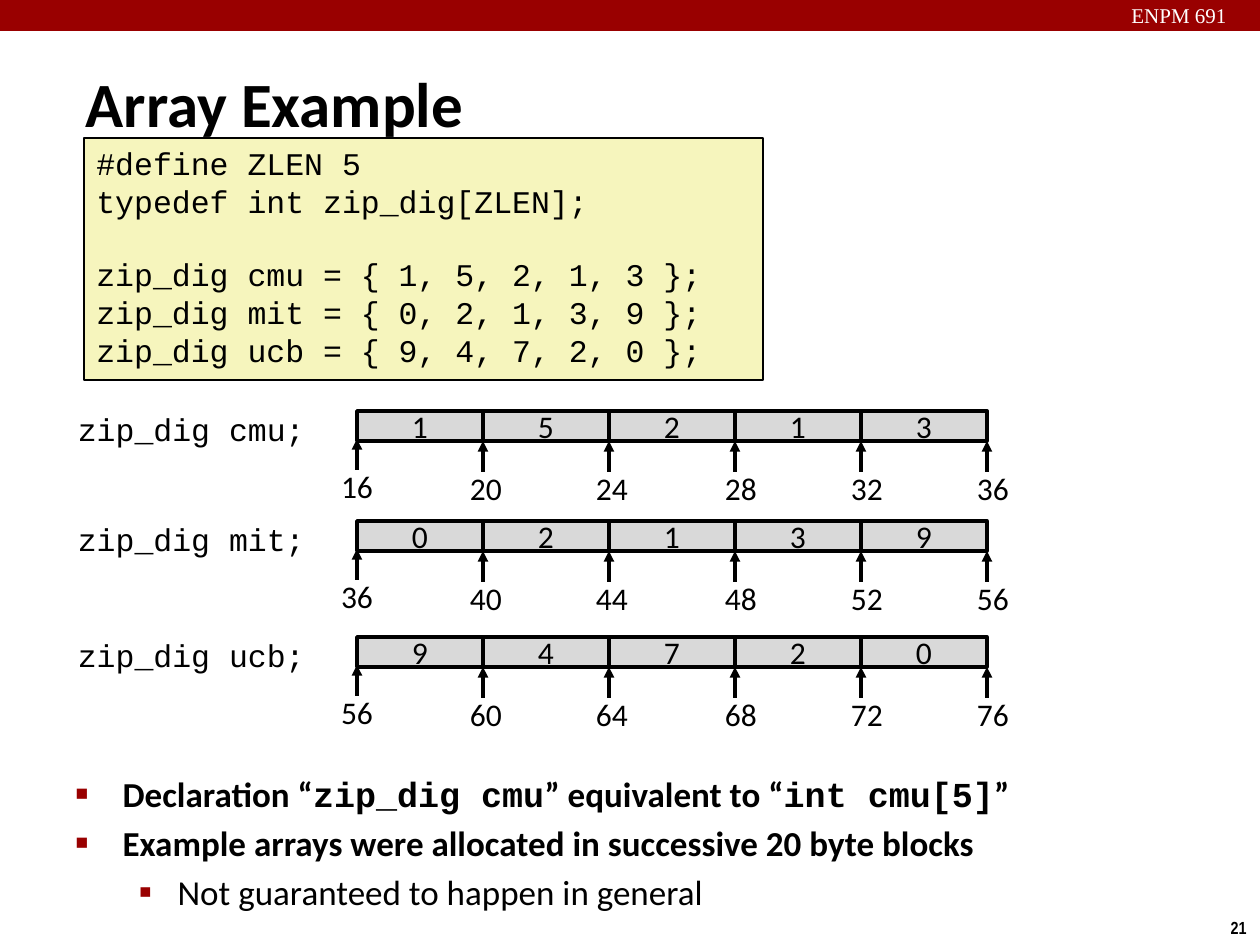
from dataclasses import dataclass
from typing import Any

from lxml.etree import SubElement
from pptx import Presentation
from pptx.dml.color import RGBColor
from pptx.enum.shapes import MSO_CONNECTOR as Connector, MSO_SHAPE as Preset
from pptx.enum.text import MSO_ANCHOR as Anchor, MSO_AUTO_SIZE as AutoSize, PP_ALIGN as Align
from pptx.oxml.ns import qn
from pptx.util import Emu, Pt

SCALE = 914400 / 126  # EMU per pixel
COLORS = {"black": "000000", "white": "FFFFFF", "red": "990000",
          "code": "F6F5BD", "cell": "D9D9D9"}
SANS = {"name": "Calibri", "size": Pt(18), "bold": False}
MONO = {"name": "Courier New", "size": Pt(18), "bold": False}
BODY = {"name": "Calibri", "size": Pt(20), "bold": True}
BODY_CODE = BODY | {"name": "Courier New"}

CELL_WIDTH, CELL_HEIGHT, ARRAY_LEFT = 126, 30, 357
ADDRESS_SHIFTS = (0, 3, 3, 6, 6, 6)  # label centre, right of its arrow
ELEMENT_BYTES = 4


@dataclass
class ArrayRow:
    name: str
    top: int
    start: int
    digits: tuple[int, ...]


@dataclass
class Bullet:
    runs: list[tuple[str, dict]]
    level: int
    margin: int
    hanging: int
    mark: str
    percent: int


ARRAYS = [
    ArrayRow("cmu", 411, 16, (1, 5, 2, 1, 3)),
    ArrayRow("mit", 521, 36, (0, 2, 1, 3, 9)),
    ArrayRow("ucb", 637, 56, (9, 4, 7, 2, 0)),
]
BULLETS = [
    Bullet([("Declaration “", BODY), ("zip_dig cmu", BODY_CODE), ("” equivalent to “", BODY),
            ("int cmu[5]", BODY_CODE), ("”", BODY)], 0, 47, 47, "■", 60),
    Bullet([("Example arrays were allocated in successive 20 byte blocks", BODY)],
           0, 47, 47, "■", 60),
    Bullet([("Not guaranteed to happen in general", BODY | {"bold": False})],
           1, 102, 39, "▪", 110),
]


def px(value: float) -> Emu:
    return Emu(round(value * SCALE))


def color(name: str) -> RGBColor:
    return RGBColor.from_string(COLORS[name])


def apply(target: Any, values: dict) -> None:
    for key, value in values.items():
        setattr(target, key, value)


def place(shape: Any, left: int, top: int, width: int, height: int) -> None:
    apply(shape, {"left": px(left), "top": px(top), "width": px(width), "height": px(height)})


def add_run(paragraph: Any, text: str, font: dict, ink: str = "black") -> None:
    run = paragraph.add_run()
    run.text = text
    apply(run.font, font)
    run.font.color.rgb = color(ink)


def add_label(shapes: Any, box: tuple[int, int, int, int], text: str, font: dict,
              align: Align = Align.CENTER, ink: str = "black", wrap: bool = True) -> None:
    frame = shapes.add_textbox(*map(px, box)).text_frame
    apply(frame, {"word_wrap": wrap, "auto_size": AutoSize.SHAPE_TO_FIT_TEXT})
    frame.paragraphs[0].alignment = align
    add_run(frame.paragraphs[0], text, font, ink)


def add_box(shapes: Any, box: tuple[int, int, int, int], fill: str, line_width: float) -> Any:
    shape = shapes.add_shape(Preset.RECTANGLE, *map(px, box))
    shape.shadow.inherit = False
    shape.fill.solid()
    shape.fill.fore_color.rgb = color(fill)
    if line_width:
        shape.line.color.rgb = color("black")
        shape.line.width = Pt(line_width)
    else:
        shape.line.fill.background()
    return shape


def add_arrow(shapes: Any, x: int, bottom: int, top: int) -> None:
    arrow = shapes.add_connector(Connector.STRAIGHT, px(x), px(bottom), px(x), px(top))
    arrow.line.color.rgb = color("black")
    arrow.line.width = Pt(2)
    SubElement(arrow.line._get_or_add_ln(), qn("a:tailEnd"), type="triangle")
    SubElement(arrow._element.spPr, qn("a:effectLst"))


def indent(paragraph: Any, margin: int, hanging: int) -> Any:
    properties = paragraph._p.get_or_add_pPr()
    properties.set("marL", str(px(margin)))
    properties.set("indent", str(px(-hanging)))
    return properties


def add_bullet(paragraph: Any, bullet: Bullet) -> None:
    apply(paragraph, {"level": bullet.level, "space_before": Pt(4), "alignment": Align.LEFT})
    properties = indent(paragraph, bullet.margin, bullet.hanging)
    bullet_color = SubElement(properties, qn("a:buClr"))
    SubElement(bullet_color, qn("a:srgbClr"), val=COLORS["red"])
    SubElement(properties, qn("a:buSzPct"), val=str(bullet.percent * 1000))
    SubElement(properties, qn("a:buChar"), char=bullet.mark)
    for text, font in bullet.runs:
        add_run(paragraph, text, font)


def add_array(slide: Any, row: ArrayRow) -> None:
    add_label(slide.shapes, (10, row.top - 7, 307, 50), f"zip_dig {row.name};", MONO, Align.RIGHT)
    shapes = slide.shapes.add_group_shape().shapes
    for index, digit in enumerate(row.digits):
        left = ARRAY_LEFT + index * CELL_WIDTH
        cell = add_box(shapes, (left, row.top, CELL_WIDTH, CELL_HEIGHT), "cell", 2)
        frame = cell.text_frame
        apply(frame, {"word_wrap": False, "vertical_anchor": Anchor.MIDDLE})
        frame.paragraphs[0].alignment = Align.CENTER
        add_run(frame.paragraphs[0], str(digit), SANS)
    for index, shift in enumerate(ADDRESS_SHIFTS):
        x = ARRAY_LEFT + index * CELL_WIDTH
        drop = 2 if index else 0
        width = 136 if index else 92
        add_label(shapes, (x + shift - width // 2, row.top + 50 + drop, width, 50),
                  str(row.start + index * ELEMENT_BYTES), SANS)
        add_arrow(shapes, x, row.top + 59 + drop, row.top + 28 + drop)


presentation = Presentation()
apply(presentation, {"slide_width": px(1260), "slide_height": px(945)})
slide = presentation.slides.add_slide(presentation.slide_layouts[1])
title, body = slide.placeholders

# Header band and page number
add_box(slide.shapes, (0, 0, 1260, 31), "red", 0)
add_label(slide.shapes, (1089, -4, 180, 38), "ENPM 691",
          {"name": "Times New Roman", "size": Pt(12)}, ink="white")
add_label(slide.shapes, (1217, 911, 43, 34), "21",
          {"name": "Arial Narrow", "size": Pt(10), "bold": True}, wrap=False)

# Title
place(title, 73, 63, 755, 79)
apply(title.text_frame, {"vertical_anchor": Anchor.MIDDLE, "auto_size": AutoSize.NONE})
heading = title.text_frame.paragraphs[0]
heading.alignment = Align.LEFT
indent(heading, 16, 16)
add_run(heading, "Array Example", BODY | {"size": Pt(36)})

# Bulleted list
place(body, 63, 766, 1155, 190)
body.text_frame.auto_size = AutoSize.NONE
for number, bullet in enumerate(BULLETS):
    frame = body.text_frame
    add_bullet(frame.add_paragraph() if number else frame.paragraphs[0], bullet)

# Code listing
code_frame = add_box(slide.shapes, (84, 138, 679, 242), "code", 1).text_frame
apply(code_frame, {"vertical_anchor": Anchor.TOP, "word_wrap": True})
code_lines = ["#define ZLEN 5", "typedef int zip_dig[ZLEN];"]
code_lines += [f"zip_dig {row.name} = {{ {', '.join(map(str, row.digits))} }};" for row in ARRAYS]
for number, code_line in enumerate(code_lines):
    paragraph = code_frame.add_paragraph() if number else code_frame.paragraphs[0]
    paragraph.alignment = Align.LEFT
    if number == 2:
        paragraph.space_before = Pt(20.4)
    add_run(paragraph, code_line, MONO)

# Arrays with their addresses
for row in ARRAYS:
    add_array(slide, row)

presentation.save("out.pptx")
